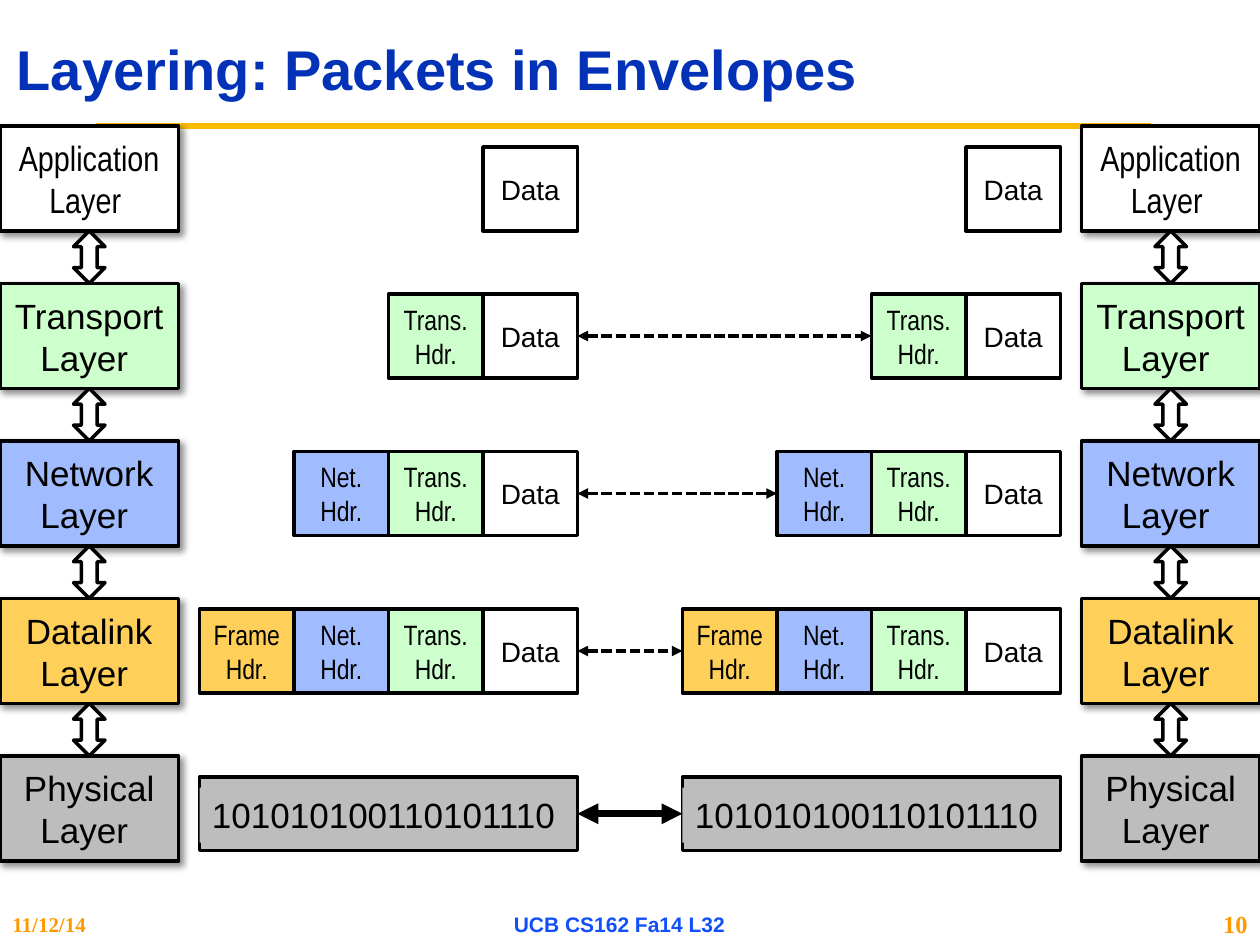
from lxml import etree
from pptx import Presentation
from pptx import util as u
from pptx.dml.color import RGBColor
from pptx.enum import dml, shapes, text
from pptx.oxml.ns import qn

COLORS = {
    "black": "000000", "white": "FFFFFF", "title": "0332B7", "rule": "FBBA03",
    "transport": "CCFFCC", "network": "A0BCFE", "datalink": "FECF59",
    "physical": "BDBDBD", "orange": "FF9900", "footer": "114FFB",
}
COLUMNS, ROWS = 120, 90
UNIT = u.Inches(10) // COLUMNS
LAYER_WIDTH, LAYER_HEIGHT, LAYER_PITCH = 17, 10, 15
CELL_WIDTH, CELL_HEIGHT = 9, 8
FIRST_LAYER_TOP = 12
PACKET_LEFTS, PACKET_WIDTH = (19, 65), 4 * CELL_WIDTH
LAYERS = [
    ("Application", "white", "Arial Narrow"),
    ("Transport", "transport", "Arial"),
    ("Network", "network", "Arial"),
    ("Datalink", "datalink", "Arial"),
    ("Physical", "physical", "Arial"),
]
CELLS = [
    ("Data", "white", "Arial"),
    ("Trans.\nHdr.", "transport", "Arial Narrow"),
    ("Net.\nHdr.", "network", "Arial Narrow"),
    ("Frame\nHdr.", "datalink", "Arial Narrow"),
]


def color(name):
    return RGBColor.from_string(COLORS[name])


def grid(*lengths):
    return [u.Emu(round(length * UNIT)) for length in lengths]


def write(shape, words, size, font, ink="black", align=text.PP_ALIGN.CENTER,
          bold=False, wrap=True, anchor=text.MSO_ANCHOR.MIDDLE):
    frame = shape.text_frame
    frame.text = words
    frame.word_wrap = wrap
    frame.vertical_anchor = anchor
    for paragraph in frame.paragraphs:
        paragraph.alignment = align
        for run in paragraph.runs:
            run.font.size = u.Pt(size)
            run.font.name = font
            run.font.bold = bold
            run.font.color.rgb = color(ink)


def add_box(slide, box, fill, preset=shapes.MSO_SHAPE.RECTANGLE):
    shape = slide.shapes.add_shape(preset, *grid(*box))
    shape.shadow.inherit = False
    shape.fill.solid()
    shape.fill.fore_color.rgb = color(fill)
    shape.line.color.rgb = color("black")
    shape.line.width = u.Pt(2)
    return shape


def add_drop_shadow(shape):
    effects = shape.element.spPr.find(qn("a:effectLst"))
    shadow = etree.SubElement(effects, qn("a:outerShdw"), blurRad=str(u.Pt(4)),
                              dist=str(u.Pt(3)), dir="2700000", rotWithShape="0")
    ink = etree.SubElement(shadow, qn("a:srgbClr"), val=COLORS["black"])
    etree.SubElement(ink, qn("a:alpha"), val="43000")


def add_line(slide, points, ink, width):
    connector = slide.shapes.add_connector(shapes.MSO_CONNECTOR.STRAIGHT, *grid(*points))
    connector.line.color.rgb = color(ink)
    connector.line.width = u.Pt(width)
    etree.SubElement(connector.element.spPr, qn("a:effectLst"))
    return connector


def join_peers(slide, left_box, right_box, width, dashed):
    connector = add_line(slide, (0, 0, 1, 1), "black", width)
    connector.begin_connect(left_box, 3)
    connector.end_connect(right_box, 1)
    if dashed:
        connector.line.dash_style = dml.MSO_LINE.SQUARE_DOT
    outline = connector.element.spPr.find(qn("a:ln"))
    for end in ("a:headEnd", "a:tailEnd"):
        etree.SubElement(outline, qn(end), type="triangle")


def add_title(slide, box):
    title = slide.shapes.title
    title.left, title.top, title.width, title.height = grid(*box)
    write(title, "Layering: Packets in Envelopes", 32, "Arial", "title",
          text.PP_ALIGN.LEFT, bold=True)
    title.text_frame.paragraphs[0].line_spacing = 0.9
    add_line(slide, (9.1, 12, 109.6, 12), "rule", 3.75)


def add_layer_stack(slide, left, top):
    for index, (name, fill, font) in enumerate(LAYERS):
        layer_top = top + index * LAYER_PITCH
        layer = add_box(slide, (left, layer_top, LAYER_WIDTH, LAYER_HEIGHT), fill)
        add_drop_shadow(layer)
        write(layer, f"{name} Layer ", 20, font)
        if index < len(LAYERS) - 1:
            add_box(slide, (left + 7, layer_top + LAYER_HEIGHT, 3, LAYER_PITCH - LAYER_HEIGHT),
                    "white", shapes.MSO_SHAPE.UP_DOWN_ARROW)


def add_packet(slide, right, top, count):
    cells = []
    for index, (words, fill, font) in enumerate(CELLS[:count]):
        left = right - (index + 1) * CELL_WIDTH
        cell = add_box(slide, (left, top, CELL_WIDTH, CELL_HEIGHT), fill)
        write(cell, words, 16, font)
        cells.append(cell)
    return cells[0], cells[-1]


def add_bits(slide, left, top):
    frame = add_box(slide, (left, top, PACKET_WIDTH, 7), "physical")
    label = slide.shapes.add_textbox(*grid(left, top + 1, PACKET_WIDTH - 0.6, 5.25))
    label.fill.solid()
    label.fill.fore_color.rgb = color("physical")
    write(label, "101010100110101110", 20, "Arial", align=text.PP_ALIGN.LEFT,
          wrap=False, anchor=text.MSO_ANCHOR.TOP)
    return frame


def add_exchange(slide, top):
    for index in range(len(CELLS)):
        packet_top = top + index * LAYER_PITCH + (1 if index else 2)
        sender, receiver = [
            add_packet(slide, left + PACKET_WIDTH, packet_top, index + 1)
            for left in PACKET_LEFTS
        ]
        if index:
            join_peers(slide, sender[0], receiver[1], 2, True)
    bits_top = top + len(CELLS) * LAYER_PITCH + 2
    bits = [add_bits(slide, left, bits_top) for left in PACKET_LEFTS]
    join_peers(slide, *bits, 4, False)


def add_footer(slide, top):
    align = text.PP_ALIGN
    for left, width, words, size, font, ink, side in (
        (0, 20, "11/12/14", 12, "Times New Roman", "orange", align.LEFT),
        (40, 38, "UCB CS162 Fa14 L32", 12, "Arial", "footer", align.CENTER),
        (113, 7, "10", 14, "Times New Roman", "orange", align.RIGHT),
    ):
        label = slide.shapes.add_textbox(*grid(left, top, width, ROWS - top))
        write(label, words, size, font, ink, side, bold=True)


def main():
    presentation = Presentation()
    presentation.slide_width, presentation.slide_height = grid(COLUMNS, ROWS)
    slide = presentation.slides.add_slide(presentation.slide_layouts[5])
    add_title(slide, (0.4, 2, 101, 9.7))
    for left in (0, COLUMNS - LAYER_WIDTH):
        add_layer_stack(slide, left, FIRST_LAYER_TOP)
    add_exchange(slide, FIRST_LAYER_TOP)
    add_footer(slide, 86)
    presentation.save("out.pptx")


if __name__ == "__main__":
    main()
